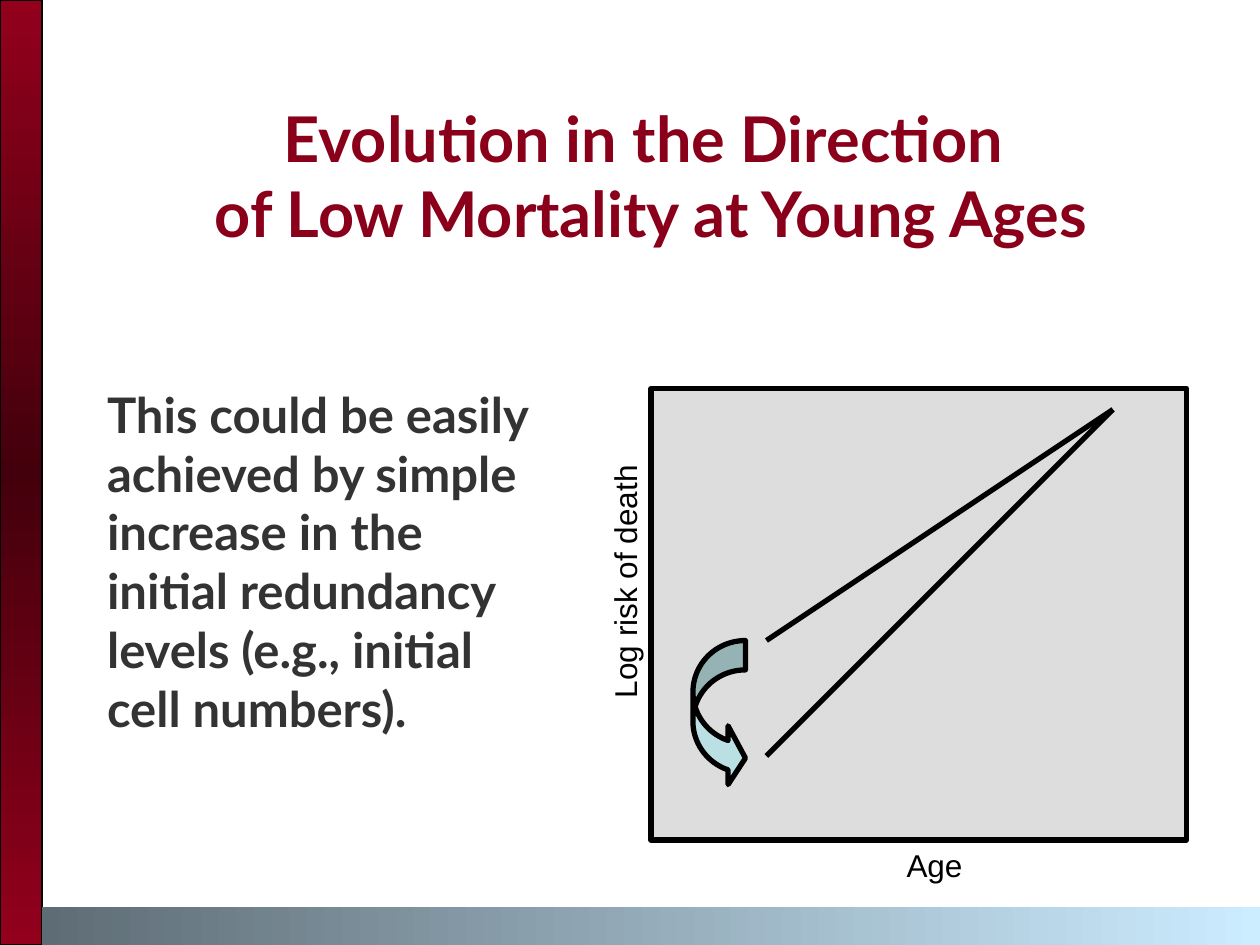
from lxml import etree
from pptx import Presentation, util as u
from pptx.dml.color import RGBColor
from pptx.enum import shapes, text
from pptx.oxml import ns

HUES = {"wine": "8A001A", "ink": "333333", "black": "000000",
        "panel": "DDDDDD", "arrow": "BBE0E3", "edge": "92001C",
        "core": "43000C", "sky": "CCECFF", "slate": "5E6C75"}
PX = 7620


def hue(name):
    return RGBColor.from_string(HUES[name])


def tag(root, name, **attrs):
    return etree.SubElement(root, ns.qn(name), **attrs)


class Deck:
    """Holds the style and the current slide, and draws each kind of element."""

    def __init__(self, wide, high):
        self.prs = Presentation()
        self.prs.slide_width, self.prs.slide_height = wide * PX, high * PX
        self.slide = self.prs.slides.add_slide(self.prs.slide_layouts[0])

    def stroke(self, line, width):
        line.color.rgb = hue("black")
        line.width = u.Pt(width)

    def shape(self, kind, box, fill=None, width=0):
        item = self.slide.shapes.add_shape(kind, *(n * PX for n in box))
        item.shadow.inherit = False
        if fill:
            item.fill.solid()
            item.fill.fore_color.rgb = hue(fill)
        if width:
            self.stroke(item.line, width)
        else:
            item.line.fill.background()
        return item

    def bar(self, box, stops, angle, width=0):
        item = self.shape(shapes.MSO_SHAPE.RECTANGLE, box, width=width)
        item.fill.gradient()
        grad = item._element.spPr.find(ns.qn("a:gradFill"))
        for child in list(grad):
            grad.remove(child)
        group = tag(grad, "a:gsLst")
        for spot, name in stops:
            stop = tag(group, "a:gs", pos=str(spot * 1000))
            tag(stop, "a:srgbClr", val=HUES[name])
        tag(grad, "a:lin", ang=str(angle * 60000), scaled="0")

    def line(self, start, end):
        item = self.slide.shapes.add_connector(
            shapes.MSO_CONNECTOR.STRAIGHT, *(n * PX for n in start + end))
        self.stroke(item.line, 3)
        tag(item._element.spPr, "a:effectLst")

    def fill_text(self, item, rows, font, size, color, bold=False,
                  align=text.PP_ALIGN.CENTER, before=0,
                  anchor=text.MSO_ANCHOR.TOP):
        frame = item.text_frame
        frame.word_wrap = True
        frame.auto_size = text.MSO_AUTO_SIZE.NONE
        frame.vertical_anchor = anchor
        para = frame.paragraphs[0]
        para.alignment = align
        para.space_before = u.Pt(before)
        for i, row in enumerate(rows):
            if i:
                para.add_line_break()
            run = para.add_run()
            run.text = row
            run.font.name, run.font.size = font, u.Pt(size)
            run.font.bold = bold
            run.font.color.rgb = hue(color)

    def holder(self, index, box, rows, size, color, **style):
        item = self.slide.placeholders[index]
        item.left, item.top, item.width, item.height = (n * PX for n in box)
        self.fill_text(item, rows, "Lato", size, color, bold=True, **style)

    def label(self, box, words, turn=0):
        item = self.slide.shapes.add_textbox(*(n * PX for n in box))
        item.rotation = turn
        self.fill_text(item, [words], "Arial", 18, "black", before=11.2)


def main():
    deck = Deck(1200, 900)
    deck.bar((0, 0, 40, 900), [(0, "edge"), (50, "core"), (100, "edge")],
             90, width=0.75)
    deck.bar((40, 864, 1160, 36), [(0, "sky"), (100, "slate")], 180)
    deck.holder(0, (110, 70, 1020, 193),
                ["Evolution in the Direction ", "of Low Mortality at Young Ages"],
                36, "wine", anchor=text.MSO_ANCHOR.MIDDLE)
    deck.holder(1, (90, 360, 450, 460),
                ["This could be easily achieved by simple increase in the "
                 "initial redundancy levels (e.g., initial cell numbers)."],
                28, "ink", align=text.PP_ALIGN.LEFT, before=7)

    deck.shape(shapes.MSO_SHAPE.RECTANGLE, (620, 370, 510, 430), "panel", 3)
    peak = (1060, 390)
    for base in (610, 720):
        deck.line((730, base), peak)
    arrow = deck.shape(shapes.MSO_SHAPE.CURVED_RIGHT_ARROW,
                       (660, 610, 50, 140), "arrow", 3)
    for i, part in enumerate((0.56, 1.12, 0.33)):
        arrow.adjustments[i] = part
    deck.label((470, 530, 250, 48), "Log risk of death", turn=270)
    deck.label((840, 800, 100, 48), "Age")
    deck.prs.save("out.pptx")


if __name__ == "__main__":
    main()
